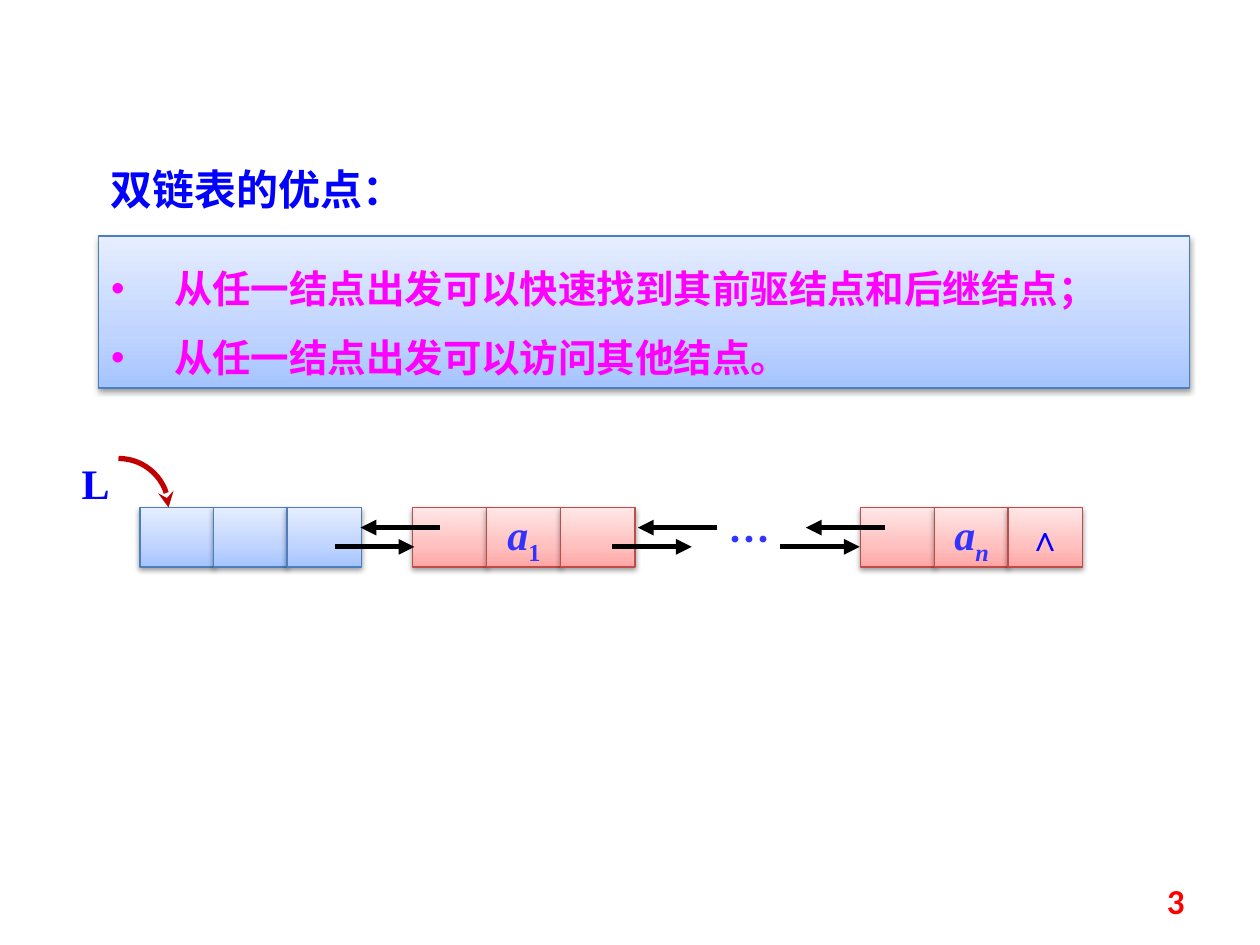
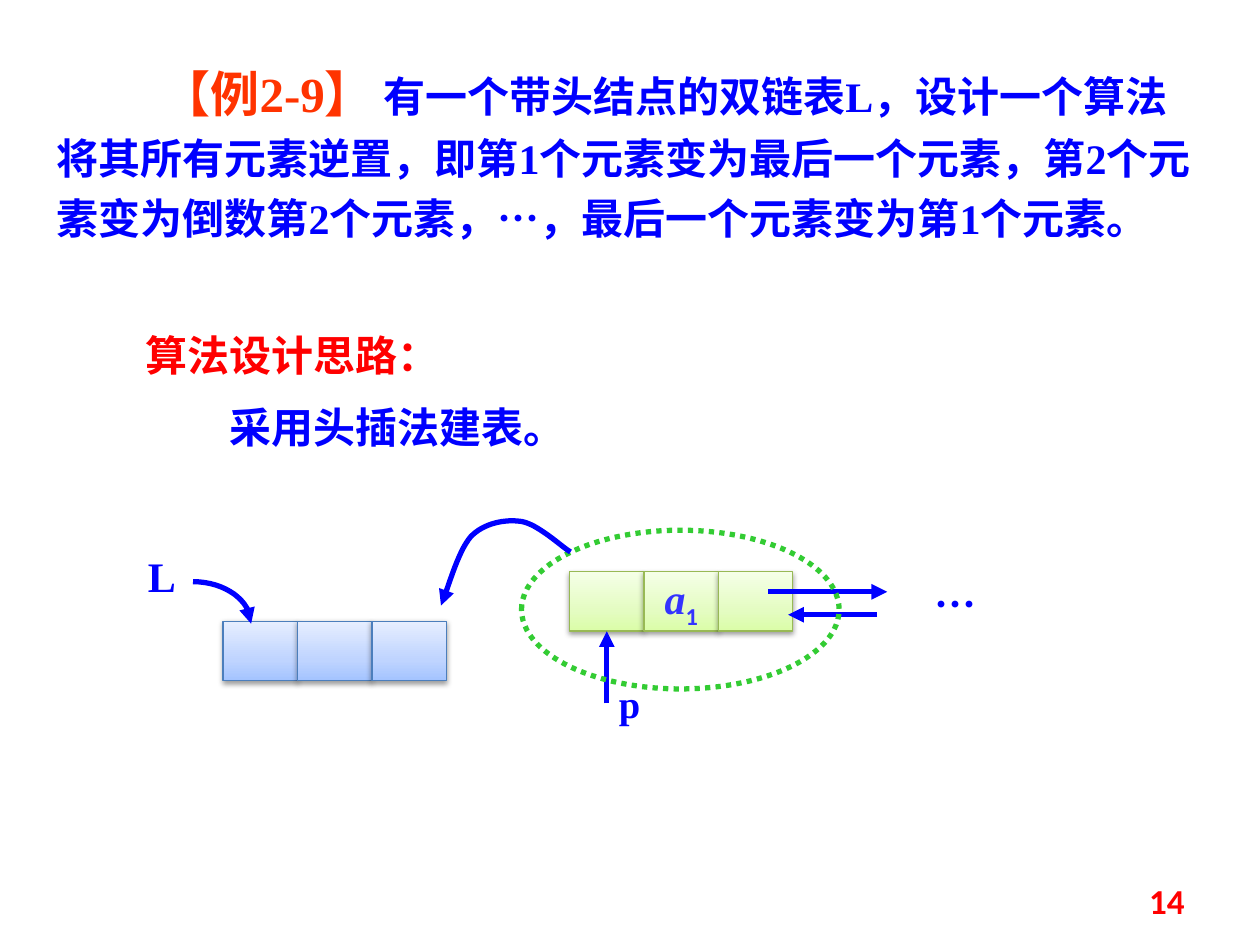
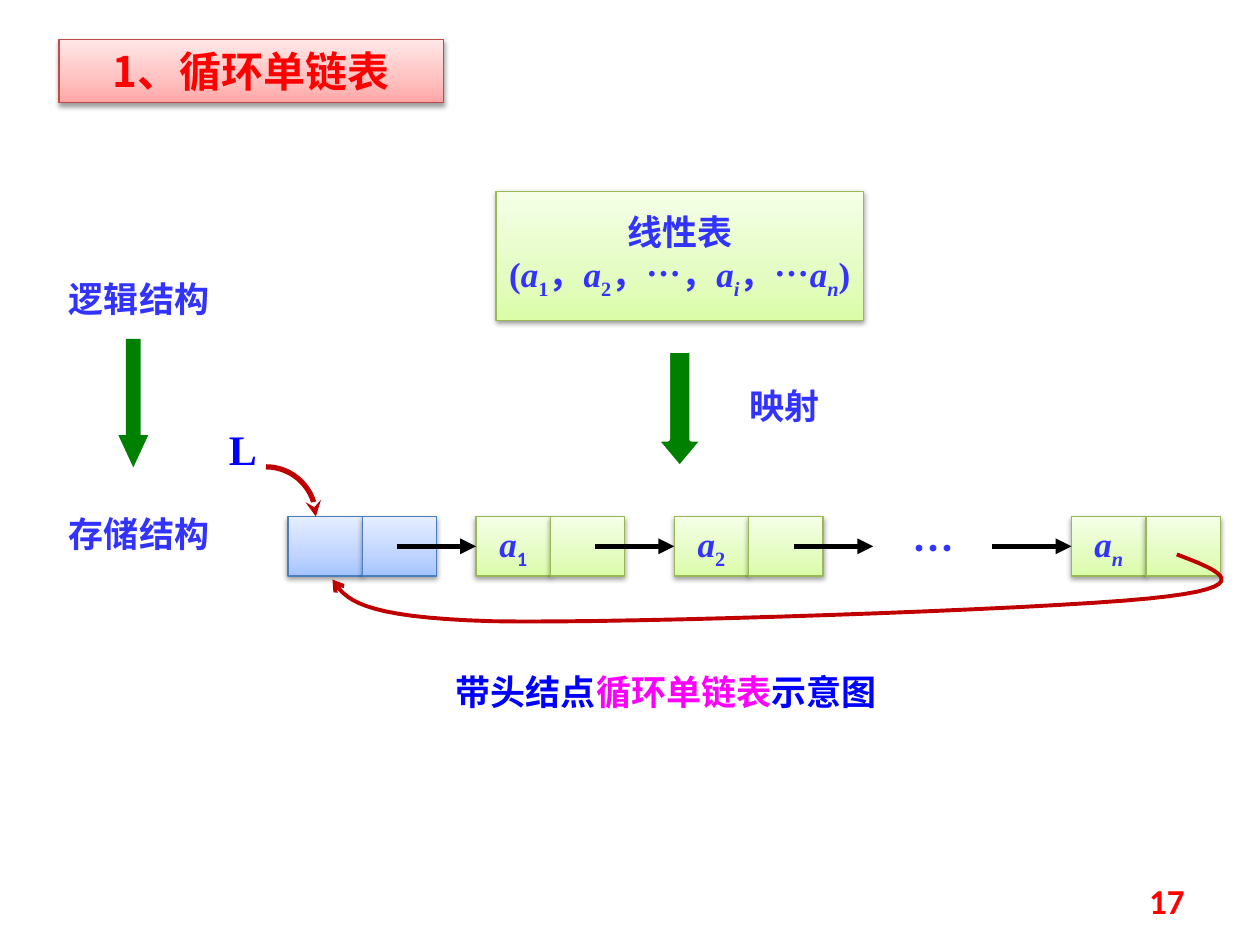
from dataclasses import dataclass
from itertools import pairwise

from lxml.etree import SubElement
from pptx import Presentation
from pptx.dml.color import RGBColor
from pptx.enum.dml import MSO_LINE
from pptx.enum.shapes import MSO_CONNECTOR, MSO_SHAPE
from pptx.enum.text import MSO_ANCHOR as Anchor, MSO_AUTO_SIZE, PP_ALIGN as Align
from pptx.oxml.ns import qn
from pptx.util import Pt

Point = tuple[float, float]


@dataclass(frozen=True)
class Palette:
    border: str
    stops: tuple[str, str, str]


@dataclass(frozen=True)
class Theme:
    blue: str = "0000FF"
    violet: str = "3333FF"
    magenta: str = "FF00FF"
    red: str = "FF0000"
    orange: str = "FF3300"
    crimson: str = "C00000"
    green: str = "008000"
    lime: str = "33CC33"
    black: str = "000000"
    white: str = "FFFFFF"
    serif: str = "Times New Roman"
    sans: str = "Calibri"
    chinese: str = "Noto Sans CJK SC"
    example: float = 28
    large: float = 24
    medium: float = 22
    small: float = 20
    stroke: float = 3
    head_node: Palette = Palette("4B7EBC", ("A4C4FF", "BFD4FF", "E6EEFF"))
    pink_node: Palette = Palette("BF4C48", ("FFA6A5", "FFC0BF", "FFE7E7"))
    green_node: Palette = Palette("98B955", ("DAFDA7", "E4FCC2", "F5FFE7"))


THEME = Theme()
CELL_WIDTH, CELL_HEIGHT = 42.5, 34


@dataclass(frozen=True)
class Box:
    left: float
    top: float
    width: float
    height: float

    def lengths(self):
        return Pt(self.left), Pt(self.top), Pt(self.width), Pt(self.height)


@dataclass(frozen=True)
class Span:
    text: str
    italic: bool = False
    subscript: bool = False
    color: str | None = None
    size: float | None = None
    font: str | None = None


@dataclass(frozen=True)
class Node:
    left: float
    top: float
    palette: Palette
    cells: tuple
    step: float = CELL_WIDTH
    size: float = THEME.large


def variable(index: str, italic: bool = False, font: str | None = None) -> list[Span]:
    return [Span("a", italic=True), Span(index, italic, subscript=True, font=font)]


def write(shape, text, *, size=THEME.large, color=THEME.blue, font=THEME.serif,
          align=Align.LEFT, anchor=Anchor.TOP, wrap=True, inset=None,
          spacing=1.0, before=0, margin=0, indent=0):
    frame = shape.text_frame
    frame.auto_size = MSO_AUTO_SIZE.NONE
    frame.word_wrap = wrap
    frame.vertical_anchor = anchor
    if inset is not None:
        frame.margin_left = frame.margin_right = Pt(inset)
        frame.margin_top = frame.margin_bottom = Pt(inset)
    paragraph = frame.add_paragraph() if frame.text else frame.paragraphs[0]
    properties = paragraph._p.get_or_add_pPr()
    properties.set("marL", str(Pt(margin)))
    properties.set("indent", str(Pt(indent)))
    paragraph.alignment = align
    paragraph.line_spacing = spacing
    paragraph.space_before = Pt(before)
    for span in [Span(text)] if isinstance(text, str) else text:
        run = paragraph.add_run()
        run.text = span.text
        run.font.name = span.font or font
        run.font.size = Pt(span.size or size)
        run.font.bold = True
        run.font.italic = span.italic
        run.font.color.rgb = RGBColor.from_string(span.color or color)
        run_properties = run._r.get_or_add_rPr()
        SubElement(run_properties, qn("a:ea")).set("typeface", THEME.chinese)
        if span.subscript:
            run_properties.set("baseline", "-25000")


def place(shape, box: Box):
    shape.left, shape.top, shape.width, shape.height = box.lengths()
    return shape


def add_text(slide, box: Box, text, **style):
    text_box = slide.shapes.add_textbox(*box.lengths())
    write(text_box, text, **style)
    return text_box


def set_line(shape, color: str, width: float):
    shape.line.color.rgb = RGBColor.from_string(color)
    shape.line.width = Pt(width)


def add_color(parent, color: str):
    element = SubElement(parent, qn("a:srgbClr"))
    element.set("val", color)
    return element


def decorate(shape, palette: Palette):
    shape.fill.gradient()
    shape.fill.gradient_angle = 90
    stop_list = shape._element.spPr.find(qn("a:gradFill")).find(qn("a:gsLst"))
    for stop in list(stop_list):
        stop_list.remove(stop)
    for position, color in zip((0, 35, 100), palette.stops):
        stop = SubElement(stop_list, qn("a:gs"))
        stop.set("pos", str(position * 1000))
        add_color(stop, color)
    set_line(shape, palette.border, 0.75)
    shape.shadow.inherit = False
    shadow = SubElement(shape._element.spPr.find(qn("a:effectLst")), qn("a:outerShdw"))
    settings = {"blurRad": Pt(3.1), "dist": Pt(1.6), "dir": 5400000, "rotWithShape": 0}
    for name, value in settings.items():
        shadow.set(name, str(value))
    SubElement(add_color(shadow, THEME.black), qn("a:alpha")).set("val", "38000")


def add_panel(slide, box: Box, palette: Palette):
    panel = slide.shapes.add_shape(MSO_SHAPE.RECTANGLE, *box.lengths())
    decorate(panel, palette)
    return panel


def add_node(slide, node: Node) -> list:
    cells = []
    for index, content in enumerate(node.cells):
        box = Box(node.left + index * node.step, node.top, CELL_WIDTH, CELL_HEIGHT)
        cell = add_panel(slide, box, node.palette)
        if content:
            write(cell, content, size=node.size, color=THEME.violet,
                  align=Align.CENTER, anchor=Anchor.MIDDLE, wrap=False)
        cells.append(cell)
    return cells


def add_arrowhead(shape, kind: str):
    SubElement(shape.line._get_or_add_ln(), qn("a:tailEnd")).set("type", kind)


def add_arrow(slide, start: Point, end: Point, color=THEME.black, target=None, site=1):
    arrow = slide.shapes.add_connector(
        MSO_CONNECTOR.STRAIGHT, *(Pt(value) for value in start + end))
    if target is not None:
        arrow.end_connect(target, site)
    set_line(arrow, color, THEME.stroke)
    add_arrowhead(arrow, "triangle")
    SubElement(arrow._element.spPr, qn("a:effectLst"))


def bezier(points: list[Point], t: float) -> Point:
    while len(points) > 1:
        points = [(x0 + (x1 - x0) * t, y0 + (y1 - y0) * t)
                  for (x0, y0), (x1, y1) in pairwise(points)]
    return points[0]


def add_curve(slide, points: list[Point], color: str, head: str,
              width: float = THEME.stroke, steps: int = 16):
    samples = [bezier(points[first:first + 4], step / steps)
               for first in range(0, len(points) - 1, 3)
               for step in range(1, steps + 1)]
    builder = slide.shapes.build_freeform(Pt(points[0][0]), Pt(points[0][1]))
    builder.add_line_segments([(Pt(x), Pt(y)) for x, y in samples], close=False)
    curve = builder.convert_to_shape()
    curve.fill.background()
    curve.shadow.inherit = False
    set_line(curve, color, width)
    add_arrowhead(curve, head)


def add_pointer(slide, start: Point, end: Point, color=THEME.crimson, head="stealth"):
    (left, top), (right, bottom) = start, end
    controls = [(left + 0.55 * (right - left), top), (right, top + 0.45 * (bottom - top))]
    add_curve(slide, [start, *controls, end], color, head)


def add_down_arrow(slide, box: Box, head_ratio: float):
    arrow = slide.shapes.add_shape(MSO_SHAPE.DOWN_ARROW, *box.lengths())
    arrow.adjustments[1] = head_ratio
    arrow.fill.solid()
    arrow.fill.fore_color.rgb = RGBColor.from_string(THEME.green)
    arrow.line.fill.background()
    arrow.shadow.inherit = False
    return arrow


def add_dots(slide, box: Box, color=THEME.violet, **style):
    add_text(slide, box, "…", color=color, font=THEME.chinese, align=Align.CENTER, **style)


def new_slide(presentation, layout: int, number: int, title_box: Box):
    slide = presentation.slides.add_slide(presentation.slide_layouts[layout])
    place(slide.shapes.title, title_box)
    add_text(slide, Box(516, 500.4, 168, 28.8), str(number), size=THEME.small,
             color=THEME.red, font=THEME.sans, align=Align.RIGHT, anchor=Anchor.MIDDLE)
    return slide


def build_advantages(presentation):
    slide = new_slide(presentation, 1, 3, Box(56, 90, 391, 36))
    write(slide.shapes.title, "双链表的优点：")
    advantages = place(slide.placeholders[1], Box(56.3, 134.8, 623.5, 87))
    decorate(advantages, THEME.head_node)
    for text in ("从任一结点出发可以快速找到其前驱结点和后继结点；",
                 "从任一结点出发可以访问其他结点。"):
        write(advantages, text, size=THEME.medium, color=THEME.magenta,
              font=THEME.sans, spacing=1.5, margin=36, indent=-36)

    top = 290
    end_mark = [Span("∧", size=THEME.small, color=THEME.blue)]
    for node in (
        Node(80, top, THEME.head_node, (None, None, None), step=42),
        Node(235.8, top, THEME.pink_node, (None, variable("1"), None), step=42.3),
        Node(491.8, top, THEME.pink_node, (None, variable("n", italic=True), end_mark), step=42.1),
    ):
        add_node(slide, node)
    add_dots(slide, Box(405.4, top, 45.4, 36))
    add_pointer(slide, (67.7, 262), (96.3, top))
    add_text(slide, Box(39.6, 257.8, 33.8, 36), "L")
    for left in (191.5, 350, 446):
        add_arrow(slide, (left, 312.5), (left + 45.3, 312.5))
        add_arrow(slide, (left + 59.8, 301.5), (left + 14.5, 301.5))


def build_reversal(presentation):
    slide = new_slide(presentation, 5, 14, Box(25.2, 25.9, 663.1, 150))
    write(slide.shapes.title, [
        Span("【例2-9】", size=THEME.example, color=THEME.orange),
        Span(" 有一个带头结点的双链表L，设计一个算法将其所有元素逆置，"
             "即第1个元素变为最后一个元素，第2个元素变为倒数第2个元素，"),
        Span("…", font=THEME.chinese),
        Span("，最后一个元素变为第1个元素。"),
    ], spacing=1.2, indent=60)
    idea = add_text(slide, Box(76.3, 185, 283.7, 80), "算法设计思路：",
                    color=THEME.red, font=THEME.chinese)
    write(idea, "采用头插法建表。", font=THEME.chinese, before=12, indent=48)

    add_node(slide, Node(127.5, 355, THEME.head_node, (None, None, None)))
    cells = add_node(slide, Node(325.5, 326.7, THEME.green_node,
                                 (None, variable("1", font=THEME.sans), None)))
    add_pointer(slide, (110.3, 332.4), (143.5, 356.4), THEME.blue, "triangle")
    label = dict(align=Align.CENTER, inset=0)
    add_text(slide, Box(69.8, 314.6, 45.4, 28.8), "L", **label)
    add_text(slide, Box(337, 388.8, 45.4, 26.6), "p", size=THEME.medium, **label)
    add_arrow(slide, (346.75, 402), (346.75, 360.7), THEME.blue, target=cells[0], site=2)
    add_arrow(slide, (439, 338.2), (507, 338.2), THEME.blue)
    add_arrow(slide, (501.3, 351.3), (450.4, 351.3), THEME.blue)
    add_dots(slide, Box(512, 330.5, 67.7, 28.8), THEME.blue, inset=0)

    ring = slide.shapes.add_shape(MSO_SHAPE.OVAL, *Box(298, 303, 181.5, 90.7).lengths())
    ring.fill.background()
    ring.shadow.inherit = False
    set_line(ring, THEME.lime, THEME.stroke)
    ring.line.dash_style = MSO_LINE.ROUND_DOT
    add_curve(slide, [(326, 315.4), (321, 312.5), (307.4, 299.5), (298, 298),
                      (288.7, 296.6), (276.5, 298.8), (269, 306.7),
                      (261.4, 315.4), (255.6, 337.7), (252, 346)],
              THEME.blue, "triangle")


def build_circular_list(presentation):
    slide = new_slide(presentation, 5, 17, Box(33.8, 22.6, 219.6, 36.2))
    decorate(slide.shapes.title, THEME.pink_node)
    write(slide.shapes.title, "1、循环单链表", color=THEME.red,
          font=THEME.chinese, align=Align.CENTER)

    caption = dict(size=THEME.small, color=THEME.violet, align=Align.CENTER)
    linear_list = add_panel(slide, Box(283.5, 109.3, 209.8, 73.7), THEME.green_node)
    sequence = [Span("("), *variable("1"), Span("，"), *variable("2"), Span("，…，"),
                *variable("i", italic=True), Span("，…"), *variable("n", italic=True), Span(")")]
    for text in ("线性表", sequence):
        write(linear_list, text, anchor=Anchor.MIDDLE, wrap=False, **caption)

    mapping = add_down_arrow(slide, Box(374.4, 200.2, 28, 67.5), 0.6)
    set_line(mapping, THEME.white, THEME.stroke)
    add_down_arrow(slide, Box(67.7, 193.7, 17, 73.4), 1.08)
    for box, text in ((Box(410.4, 216, 75.6, 31), "映射"),
                      (Box(11.5, 154.8, 136, 31.7), "逻辑结构"),
                      (Box(11.5, 289.4, 136, 31.7), "存储结构")):
        add_text(slide, box, text, font=THEME.chinese, **caption)

    top = 295.2
    add_node(slide, Node(164.5, top, THEME.head_node, (None, None)))
    first, second, last = [
        add_node(slide, Node(left, top, THEME.green_node, (content, None), size=THEME.small))[0]
        for left, content in ((272, variable("1", font=THEME.sans)),
                              (385.3, variable("2")),
                              (612.3, variable("n", italic=True)))
    ]
    add_dots(slide, Box(510.5, top, 45.4, 36))
    add_pointer(slide, (152, 266.8), (180.5, top))
    add_text(slide, Box(123.8, 238.3, 33.8, 36), "L")
    middle = top + CELL_HEIGHT / 2
    for index, target in enumerate((first, second, None, last)):
        left = 226.8 + index * 113.4
        add_arrow(slide, (left, middle), (left + 45.4, middle), target=target)
    add_curve(slide, [(672.5, 316.8), (697, 326.2), (721.4, 335.5), (656.6, 342),
                      (591, 348.5), (359.3, 356.4), (281.5, 355),
                      (203.8, 352.8), (197.3, 342), (190, 331.2)],
              THEME.crimson, "arrow", width=2.25)
    add_text(slide, Box(253.4, 379.4, 281.5, 31.7),
             [Span("带头结点"), Span("循环单链表", color=THEME.magenta), Span("示意图")],
             size=THEME.small, font=THEME.chinese)


def main():
    presentation = Presentation()
    presentation.slide_width, presentation.slide_height = Pt(720), Pt(540)
    build_advantages(presentation)
    build_reversal(presentation)
    build_circular_list(presentation)
    presentation.save("out.pptx")


if __name__ == "__main__":
    main()
